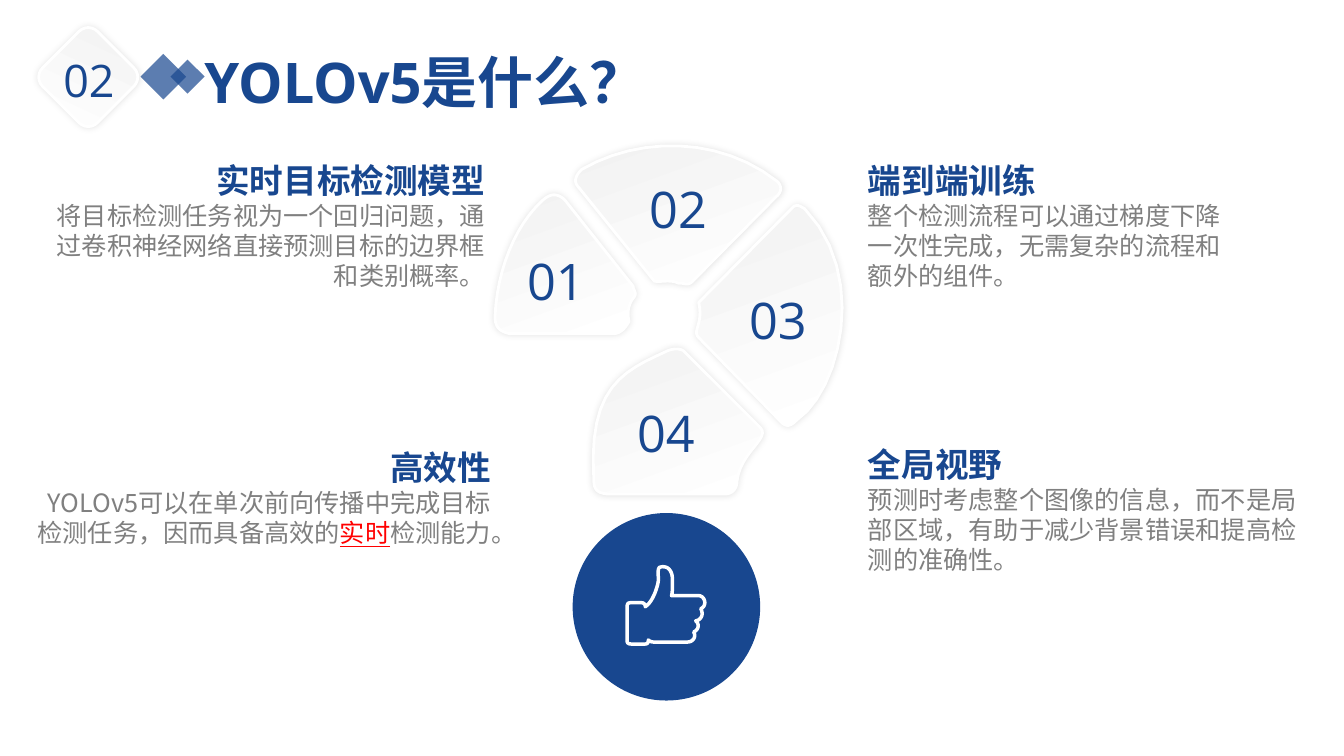
"""Build the slide that explains YOLOv5 around a question mark of four petals."""
from lxml.etree import SubElement as Sub
from pptx import Presentation
from pptx.dml.color import RGBColor
from pptx.enum.shapes import MSO_SHAPE as Kind
from pptx.enum.text import PP_ALIGN as Align
from pptx.oxml.ns import qn
from pptx.util import Inches, Pt

HUES = {"blue": "18478F", "gray": "808080", "red": "FF0000",
        "white": "FFFFFF", "pale": "F2F2F2", "black": "000000"}
SANS, HAN = "Open Sans", "Noto Sans CJK SC"

NOTES = [
    ((0.23, 1.11, 4.68, 1.82), Align.RIGHT, "实时目标检测模型",
     [("将目标检测任务视为一个回归问题，通过卷积神经网络直接预测目标的边界框和类别概率。", "gray")]),
    ((8.51, 1.11, 3.91, 1.82), Align.LEFT, "端到端训练",
     [("整个检测流程可以通过梯度下降一次性完成，无需复杂的流程和额外的组件。", "gray")]),
    ((0.23, 3.96, 4.74, 1.51), Align.RIGHT, "高效性",
     [("YOLOv5可以在单次前向传播中完成目标检测任务，因而具备高效的", "gray"),
      ("实时", "red"), ("检测能力。", "gray")]),
    ((8.51, 3.93, 4.45, 1.82), Align.LEFT, "全局视野",
     [("预测时考虑整个图像的信息，而不是局部区域，有助于减少背景错误和提高检测的准确性。", "gray")]),
]

PETALS = [
    ("01", (5.03, 2.39), [
        (6.28, 2.84), (5.6, 1.98), (5.52, 1.91, 5.45, 1.92, 5.37, 2),
        (5.11, 2.24, 4.93, 2.68, 4.91, 3.14), (4.91, 3.27, 4.98, 3.29, 5.05, 3.31),
        (6.1, 3.31), (6.17, 3.3, 6.21, 3.24, 6.24, 3.19),
        (6.22, 3.11, 6.23, 3.03, 6.28, 2.96), (6.33, 2.91, 6.28, 2.88, 6.28, 2.84)]),
    ("02", (6.24, 1.68), [
        (6.49, 2.79), (5.74, 1.86), (5.67, 1.79, 5.73, 1.72, 5.77, 1.68),
        (6.34, 1.35, 7.14, 1.35, 7.71, 1.8), (7.76, 1.85, 7.75, 1.91, 7.7, 1.95),
        (6.88, 2.78), (6.82, 2.85, 6.78, 2.8, 6.73, 2.81),
        (6.65, 2.77, 6.57, 2.8, 6.49, 2.79)]),
    ("03", (7.23, 2.78), [
        (7.85, 2.07), (6.93, 3), (6.98, 3.22, 6.86, 3.28, 6.93, 3.35),
        (7.76, 4.2), (7.81, 4.24, 7.85, 4.22, 7.9, 4.17),
        (8.33, 3.88, 8.62, 2.73, 7.98, 2.07), (7.94, 2.05, 7.9, 2.01, 7.85, 2.07)]),
    ("04", (6.12, 3.9), [
        (6.78, 3.48), (7.54, 4.24), (7.65, 4.35, 7.34, 4.48, 7.31, 4.78),
        (7.31, 4.83, 7.28, 4.89, 7.21, 4.9), (6.02, 4.9),
        (5.91, 4.89, 5.89, 4.84, 5.89, 4.76), (5.83, 3.83, 6.19, 3.68, 6.6, 3.49),
        (6.66, 3.46, 6.73, 3.45, 6.78, 3.48)]),
]

THUMB = [
    (6.39, 6.39), (6.27, 6.39), (6.25, 6.39, 6.22, 6.39, 6.22, 6.36),
    (6.22, 6.02), (6.22, 5.98, 6.24, 5.98, 6.26, 5.98), (6.36, 5.98),
    (6.38, 5.98, 6.4, 5.99, 6.4, 6.02), (6.48, 5.97, 6.53, 5.8, 6.53, 5.75),
    (6.53, 5.71, 6.52, 5.65, 6.54, 5.63), (6.56, 5.62, 6.66, 5.6, 6.67, 5.74),
    (6.67, 5.83, 6.67, 5.88, 6.66, 5.91), (6.93, 5.91),
    (6.99, 5.91, 7.02, 6.01, 6.95, 6.04), (6.98, 6.09, 6.96, 6.15, 6.9, 6.16),
    (6.94, 6.19, 6.93, 6.25, 6.88, 6.27), (6.91, 6.32, 6.87, 6.37, 6.82, 6.37),
    (6.48, 6.37), (6.46, 6.37, 6.44, 6.36, 6.43, 6.35),
    (6.43, 6.39, 6.41, 6.39, 6.39, 6.39)]

DIAMONDS = [(1.46, 0.6, 0.32), (1.74, 0.64, 0.24)]

deck = Presentation()
deck.slide_width, deck.slide_height = Inches(13.33), Inches(7.5)
slide = deck.slides.add_slide(deck.slide_layouts[6])
shapes = slide.shapes


def hue(name):
    return RGBColor.from_string(HUES[name])


def trace(path, steps=12):
    dots = [path[0]]
    for seg in path[1:]:
        if len(seg) == 2:
            dots.append(seg)
            continue
        knots = [dots[-1], seg[:2], seg[2:4], seg[4:]]
        for i in range(1, steps + 1):
            t = i / steps
            mix = ((1 - t) ** 3, 3 * t * (1 - t) ** 2, 3 * t * t * (1 - t), t ** 3)
            dots.append(tuple(sum(m * k[axis] for m, k in zip(mix, knots)) for axis in (0, 1)))
    return [(Inches(x), Inches(y)) for x, y in dots]


def outline(path):
    first, *rest = trace(path)
    pen = shapes.build_freeform(*first)
    pen.add_line_segments(rest, close=True)
    shape = pen.convert_to_shape()
    shape.shadow.inherit = False
    return shape


def preset(kind, x, y, size, turn=0):
    shape = shapes.add_shape(kind, *map(Inches, (x, y, size, size)))
    shape.rotation = turn
    shape.shadow.inherit = False
    return shape


def paint(shape, name, alpha=None):
    shape.fill.solid()
    shape.fill.fore_color.rgb = hue(name)
    shape.line.fill.background()
    if alpha:
        tint = shape.fill._xPr.find(".//" + qn("a:srgbClr"))
        Sub(tint, qn("a:alpha"), val=str(alpha * 1000))


def emboss(shape):
    shape.fill.gradient()
    shape.fill.gradient_angle = 110
    for stop, name, place in zip(shape.fill.gradient_stops, ("white", "pale"), (0, 1)):
        stop.color.rgb = hue(name)
        stop.position = place
    shape.line.color.rgb = hue("white")
    shape.line.width = Pt(2)
    glow = Sub(shape._element.spPr.find(qn("a:effectLst")), qn("a:outerShdw"),
               blurRad=str(Pt(5)), dist="0", dir="0", algn="ctr", rotWithShape="0")
    tint = Sub(glow, qn("a:srgbClr"), val=HUES["black"])
    Sub(tint, qn("a:alpha"), val="11000")


def frame(box, wrap=True):
    text = shapes.add_textbox(*map(Inches, box)).text_frame
    text.word_wrap = wrap
    return text


def write(para, text, size, name="blue", face=HAN, bold=False, under=False):
    run = para.add_run()
    run.text = text
    font = run.font
    font.size, font.bold, font.underline = Pt(size), bold, under
    font.color.rgb = hue(name)
    font.name = face
    Sub(font._element, qn("a:ea"), typeface=HAN)


def label(box, text, size, align=Align.LEFT, bold=False, wrap=True):
    para = frame(box, wrap).paragraphs[0]
    para.alignment = align
    para.line_spacing = Pt(round(size * 1.28, 1))
    write(para, text, size, face=SANS, bold=bold)


def note(box, align, title, runs):
    text = frame(box)
    head, body = text.paragraphs[0], text.add_paragraph()
    head.alignment = body.alignment = align
    head.line_spacing, body.line_spacing = Pt(59.6), Pt(21.4)
    write(head, title, 24, bold=True)
    for words, name in runs:
        write(body, words, 18, name, under=name == "red")


for x, y, size in DIAMONDS:
    paint(preset(Kind.RECTANGLE, x, y, size, 225), "blue", 70)
label((1.93, 0.38, 5.93, 0.77), "YOLOv5是什么？", 40, bold=True)
emboss(preset(Kind.ROUNDED_RECTANGLE, 0.49, 0.38, 0.77, 45))
label((0.53, 0.44, 0.71, 0.64), "02", 32, wrap=False)

for item in NOTES:
    note(*item)
for number, (x, y), path in PETALS:
    emboss(outline(path))
    label((x, y, 0.97, 0.71), number, 36, Align.CENTER)

paint(preset(Kind.OVAL, 5.68, 5.09, 1.86), "blue")
thumb = outline(THUMB)
thumb.fill.background()
thumb.line.color.rgb = hue("white")
thumb.line.width = Pt(2.5)

deck.save("out.pptx")
